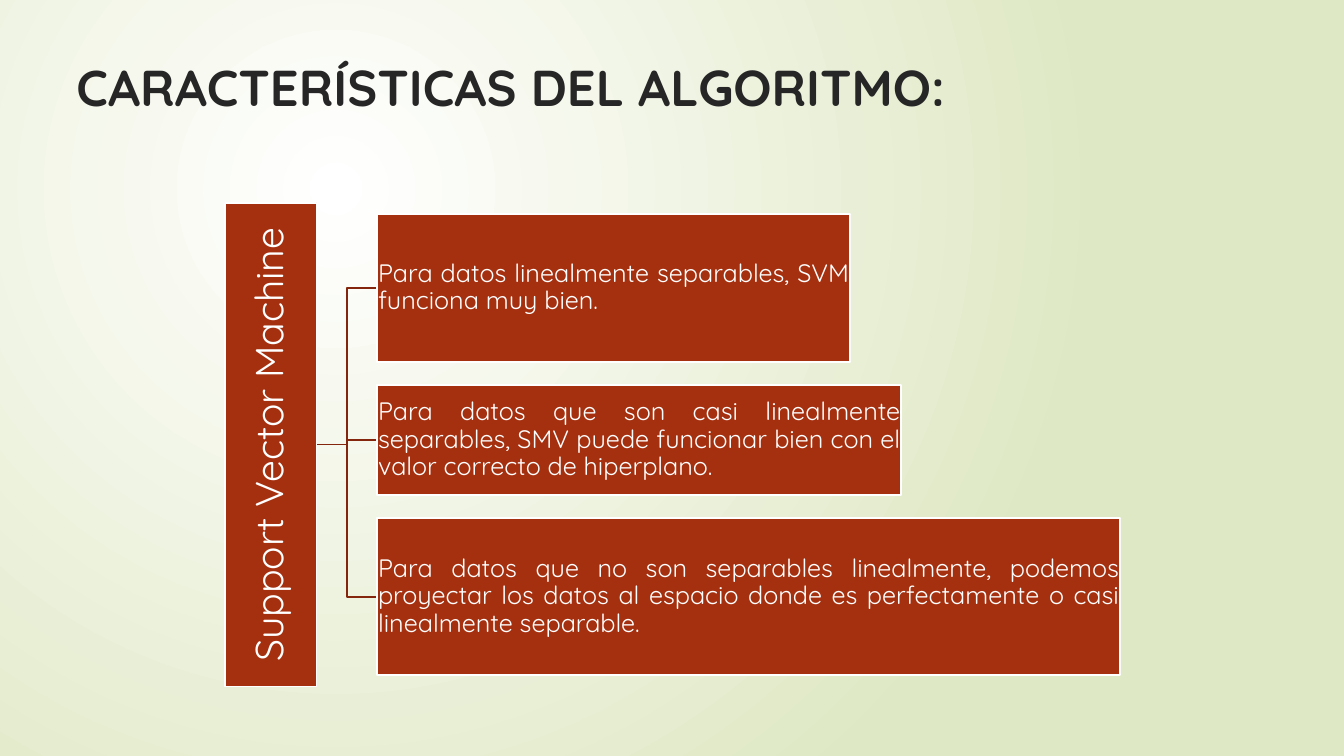
from lxml.etree import SubElement as Sub
from pptx import Presentation
from pptx.dml.color import RGBColor as RGB
from pptx.enum.shapes import MSO_SHAPE as Form
from pptx.enum.text import MSO_ANCHOR as Anchor, PP_ALIGN as Align
from pptx.oxml.ns import qn
from pptx.util import Inches, Pt


def color(code):
    return RGB.from_string(code)


class Deck:
    """Holds the style and the current slide."""
    font = "Quicksand"
    rust, edge, white, dark = "A53010", "84260D", "FFFFFF", "262626"
    pale = "DFE8C4"
    width = Pt(1.25)

    def __init__(self, show):
        self.slide = show.slides.add_slide(show.slide_layouts[6])

    def glow(self, inner, outer, focus):
        """Circular gradient background."""
        fill = self.slide.background.fill
        fill.gradient()
        for stop, code, spot in zip(fill.gradient_stops, (inner, outer), (0, 1)):
            stop.color.rgb = color(code)
            stop.position = spot
        grad = self.slide.element.find(".//" + qn("a:gradFill"))
        grad.remove(grad.find(qn("a:lin")))
        ring = Sub(grad, qn("a:path"), {"path": "circle"})
        Sub(ring, qn("a:fillToRect"), focus)

    def label(self, shape, text, size, code, pad, frame, para, bold=False):
        """Put one formatted paragraph into a shape."""
        body = shape.text_frame
        edges = dict.fromkeys(
            ("margin_left", "margin_top", "margin_right", "margin_bottom"), Inches(pad))
        line = body.paragraphs[0]
        run = line.add_run()
        run.text = text
        face = {"name": self.font, "size": Pt(size), "bold": bold}
        for item, form in ((body, edges | {"word_wrap": True} | frame),
                           (line, para), (run.font, face)):
            for key, value in form.items():
                setattr(item, key, value)
        run.font.color.rgb = color(code)

    def title(self, text, *place):
        box = self.slide.shapes.add_textbox(*map(Inches, place))
        self.label(box, text, 36, self.dark, 0.05,
                   {"vertical_anchor": Anchor.TOP, "margin_left": Inches(0.1)},
                   {"alignment": Align.LEFT}, bold=True)

    def block(self, text, place, size, align, pad, turn=0):
        """Filled box with text."""
        box = self.slide.shapes.add_shape(Form.RECTANGLE, *map(Inches, place))
        box.shadow.inherit = False
        box.rotation = turn
        box.fill.solid()
        box.fill.fore_color.rgb = color(self.rust)
        box.line.color.rgb = color(self.white)
        box.line.width = self.width
        self.label(box, text, size, self.white, pad,
                   {"vertical_anchor": Anchor.MIDDLE},
                   {"alignment": align, "line_spacing": 0.9})

    def branch(self, points):
        """Open elbow line through the points."""
        first, *rest = [tuple(map(Inches, point)) for point in points]
        pen = self.slide.shapes.build_freeform(*first)
        pen.add_line_segments(rest, close=False)
        elbow = pen.convert_to_shape()
        elbow.shadow.inherit = False
        elbow.fill.background()
        elbow.line.color.rgb = color(self.edge)
        elbow.line.width = self.width


show = Presentation()
show.slide_width, show.slide_height = Inches(13.33), Inches(7.5)
deck = Deck(show)

# Background and title
deck.glow(deck.white, deck.pale, {"l": "50000", "t": "50000", "r": "100000", "b": "100000"})
deck.title("CARACTERÍSTICAS DEL ALGORITMO:", 0.66, 0.51, 11.5, 1.04)

# Traits: text, width, height
traits = [
    ("Para datos linealmente separables, SVM funciona muy bien.", 4.69, 1.47),
    ("Para datos que son casi linealmente separables, SMV puede funcionar bien "
     "con el valor correcto de hiperplano.", 5.2, 1.09),
    ("Para datos que no son separables linealmente, podemos proyectar los datos "
     "al espacio donde es perfectamente o casi linealmente separable.", 7.37, 1.56),
]
root, left, mid = 3.14, 3.74, 4.41
bend = (root + left) / 2
top, gap = 2.12, 0.23

# Branches and trait boxes, stacked with equal gaps
for text, wide, high in traits:
    level = top + high / 2
    deck.branch([(root, mid), (bend, mid), (bend, level), (left, level)])
    deck.block(text, (left, top, wide, high), 18, Align.JUSTIFY, 0.01)
    top += high + gap

# Root box, turned to read upwards
long, thick = 4.8, 0.91
deck.block("Support Vector Machine",
           (root - (thick + long) / 2, mid - thick / 2, long, thick),
           28, Align.CENTER, 0.02, turn=270)

show.save("out.pptx")
